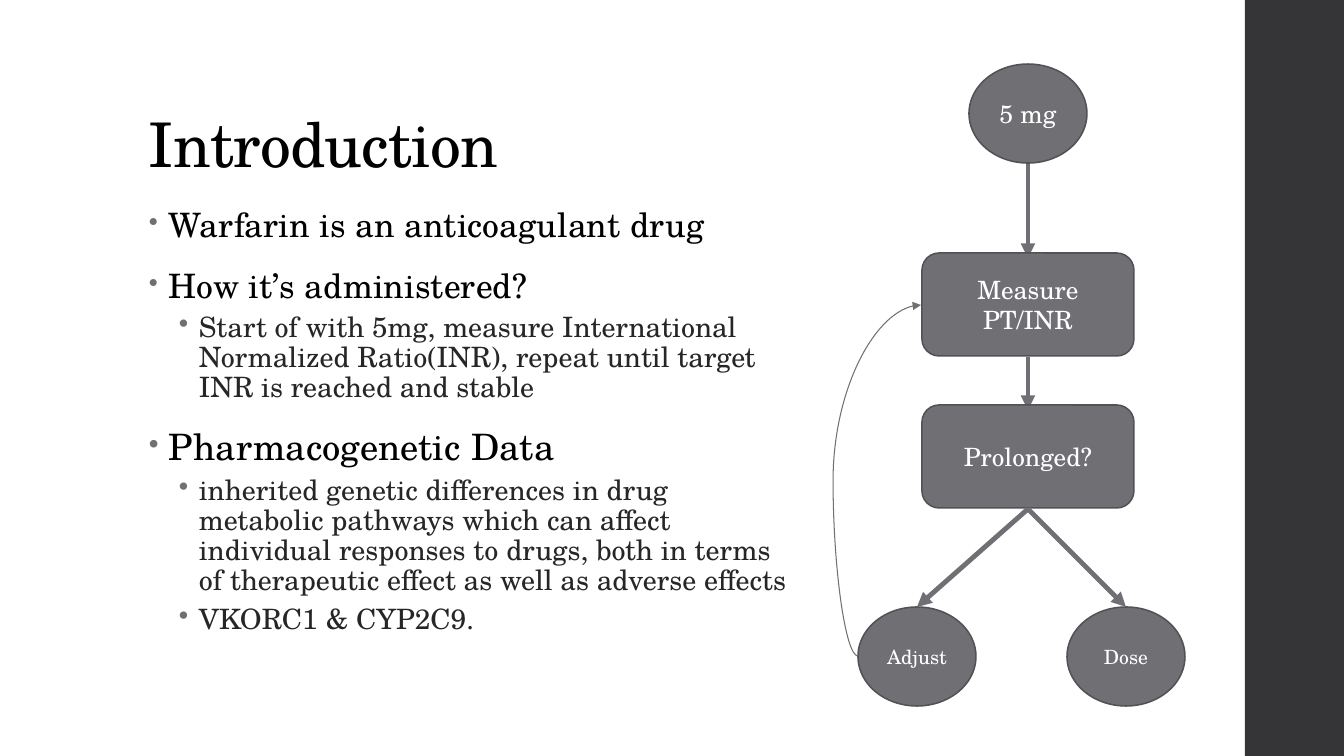
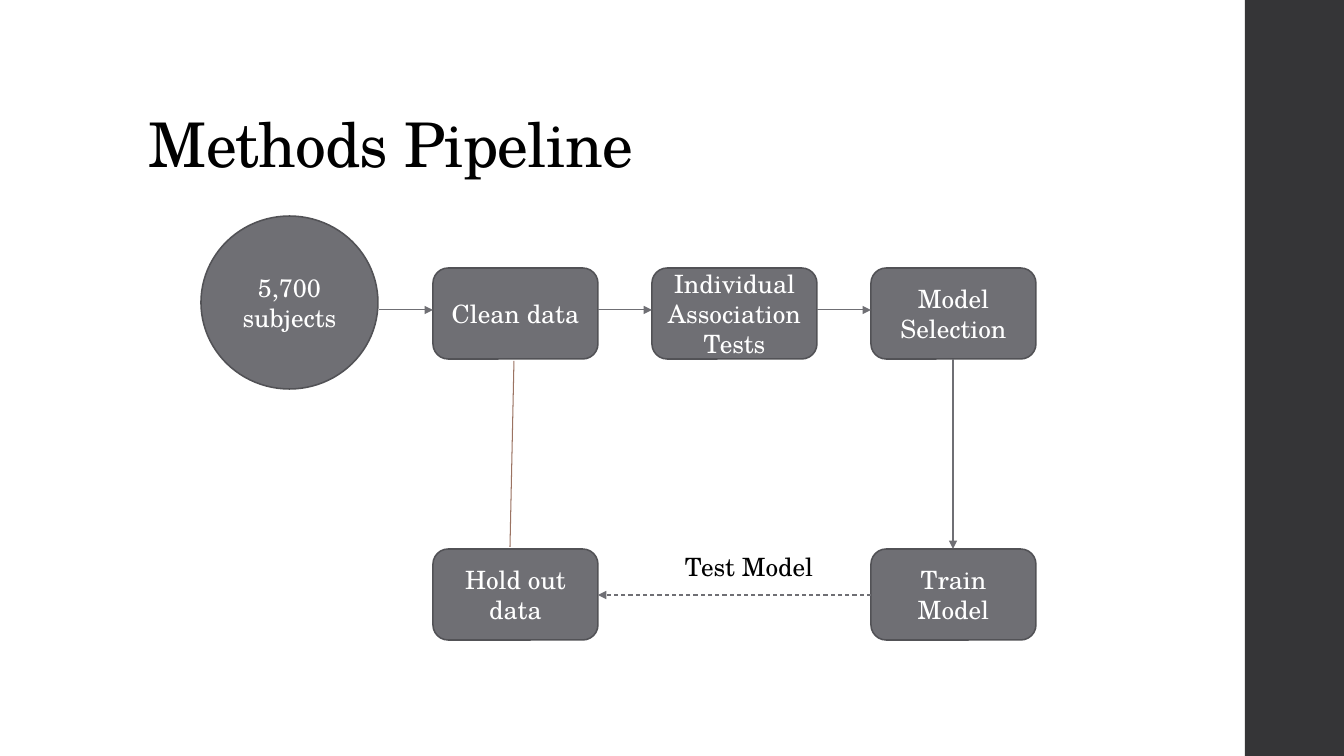
from lxml.etree import SubElement
from pptx import Presentation
from pptx.dml.color import RGBColor
from pptx.enum.dml import MSO_LINE
from pptx.enum.shapes import MSO_CONNECTOR as Link, MSO_SHAPE as Form
from pptx.enum.text import MSO_ANCHOR as Anchor, PP_ALIGN as Align
from pptx.oxml.ns import qn
from pptx.util import Pt

WIDTH, HEIGHT = 1344, 756
SCALE = 914400 / 100.8
FONT = "TeX Gyre Schola"
BLACK, WHITE, DARK = "000000", "FFFFFF", "262626"
GRAY, EDGE, BAND, BROWN = "6F6F74", "525256", "353537", "9B7362"

TOPIC = dict(indent=20, line=0.95, before=14, after=2, spacing=10,
             bullet_size=80)
DETAIL = dict(size=20, color=DARK, indent=50, line=0.9, before=3, after=3)
BODY = [
    ("Warfarin is an anticoagulant drug", dict(TOPIC, size=24)),
    ("How it’s administered?", dict(TOPIC, size=24)),
    ("Start of with 5mg, measure International Normalized Ratio(INR), "
     "repeat until target INR is reached and stable", DETAIL),
    ("Pharmacogenetic Data", dict(TOPIC, size=26)),
    ("inherited genetic differences in drug metabolic pathways which can "
     "affect individual responses to drugs, both in terms of therapeutic "
     "effect as well as adverse effects", DETAIL),
    ("VKORC1 & CYP2C9.", DETAIL),
]


def px(*lengths):
    """Turn pixel lengths into a list of EMU values."""
    return [round(length * SCALE) for length in lengths]


def rgb(value):
    """Turn a hex string into a colour."""
    return RGBColor.from_string(value)


def add_bullet(para, indent, size):
    """Give a paragraph a hanging bullet; size is a percentage."""
    props = para._p.get_or_add_pPr()
    left, hang = px(indent, 20)
    props.set("marL", str(left))
    props.set("indent", str(-hang))
    tint = SubElement(props, qn("a:buClr"))
    SubElement(tint, qn("a:srgbClr"), val=GRAY)
    SubElement(props, qn("a:buSzPct"), val=str(size * 1000))
    SubElement(props, qn("a:buChar"), char="•")


def write(para, text, size=18, color=BLACK, align=None, line=None,
          before=None, after=None, spacing=0, indent=None, bullet_size=100):
    """Write formatted text into a paragraph."""
    span = para.add_run()
    span.text = text
    span.font.size = Pt(size)
    span.font.name = FONT
    span.font.color.rgb = rgb(color)
    if spacing:
        span._r.get_or_add_rPr().set("spc", str(spacing))
    para.alignment = align
    para.line_spacing = line
    if before is not None:
        para.space_before, para.space_after = Pt(before), Pt(after)
    if indent is not None:
        add_bullet(para, indent, bullet_size)


def add_text(page, place, items, anchor=Anchor.TOP):
    """Add a wrapping text box with one paragraph per (text, format) item."""
    frame = page.shapes.add_textbox(*px(*place)).text_frame
    frame.word_wrap = True
    frame.vertical_anchor = anchor
    for index, (text, style) in enumerate(items):
        para = frame.add_paragraph() if index else frame.paragraphs[0]
        write(para, text, **style)


def add_box(page, form, place, fill, edge=None):
    """Add a flat preset shape, outlined when an edge colour is given."""
    box = page.shapes.add_shape(form, *px(*place))
    box.shadow.inherit = False
    box.fill.solid()
    box.fill.fore_color.rgb = rgb(fill)
    if edge:
        box.line.color.rgb = rgb(edge)
        box.line.width = Pt(1.1)
    else:
        box.line.fill.background()
    return box


def add_node(page, form, place, text, size=18):
    """Add a flowchart node with a centred label."""
    frame = add_box(page, form, place, GRAY, EDGE).text_frame
    frame.word_wrap = True
    frame.vertical_anchor = Anchor.MIDDLE
    write(frame.paragraphs[0], text, size=size, color=WHITE,
          align=Align.CENTER)


def add_link(page, start, end, width=0.75, color=GRAY, arrow=True,
             dash=None, bend=None):
    """Join two points; a bend makes the line a curve."""
    kind = Link.STRAIGHT if bend is None else Link.CURVE
    link = page.shapes.add_connector(kind, *px(*start, *end))
    link.line.color.rgb = rgb(color)
    link.line.width = Pt(width)
    link.line.dash_style = dash
    if arrow:
        SubElement(link.line._get_or_add_ln(), qn("a:tailEnd"),
                   type="triangle")
    props = link._element.spPr
    SubElement(props, qn("a:effectLst"))
    if bend is not None:
        guides = props.find(qn("a:prstGeom")).get_or_add_avLst()
        SubElement(guides, qn("a:gd"), name="adj1", fmla=f"val {bend}")


def add_page(deck, title):
    """Add a blank page with the side band and the title."""
    page = deck.slides.add_slide(deck.slide_layouts[6])
    add_box(page, Form.RECTANGLE, (1245, 0, WIDTH - 1245, HEIGHT), BAND)
    style = dict(size=44, line=0.9, spacing=-50)
    add_text(page, (139, 40, 1068, 146), [(title, style)], Anchor.BOTTOM)
    return page


def build_introduction(deck):
    """Build the dosing page with its decision flow."""
    page = add_page(deck, "Introduction")
    add_text(page, (139, 202, 669, 480), BODY)
    center, oval, card = 1028, (118, 99), (212, 103)
    for top, bottom in ((162, 258), (357, 410)):
        add_link(page, (center, top), (center, bottom), width=3.5)
    add_node(page, Form.OVAL, (center - 59, 64, *oval), "5 mg")
    for top, text in ((253, "Measure PT/INR"), (405, "Prolonged?")):
        add_node(page, Form.ROUNDED_RECTANGLE,
                 (center - 106, top, *card), text)
    for left, text in ((858, "Adjust"), (1067, "Dose")):
        add_node(page, Form.OVAL, (left, 607, *oval), text, size=14)
        add_link(page, (center, 509), (left + 59, 607), width=3.5)
    add_link(page, (858, 656), (921, 305), bend=-39500)


def build_pipeline(deck):
    """Build the methods page with its two rows of steps."""
    page = add_page(deck, "Methods Pipeline")
    width, height, upper, lower = 165, 91, 268, 549
    columns = [433 + 219 * index for index in range(3)]
    first, _, last = columns
    steps = [(left, upper, text) for left, text in zip(columns, (
        "Clean data", "Individual Association Tests", "Model Selection"))]
    steps += [(first, lower, "Hold out data"), (last, lower, "Train Model")]
    add_node(page, Form.OVAL, (201, 216, 177, 173), "5,700 subjects")
    for left, top, text in steps:
        add_node(page, Form.ROUNDED_RECTANGLE,
                 (left, top, width, height), text)
    for left in columns:
        add_link(page, (left - 54, 310), (left, 310))
    middle = last + width // 2
    add_link(page, (middle, upper + height), (middle, lower))
    add_link(page, (514, 361), (510, 547), color=BROWN, arrow=False)
    add_link(page, (last, 595), (first + width, 595), dash=MSO_LINE.DASH)
    add_text(page, (675, 546, 165, 40), [("Test Model", {})])


def main():
    """Build and save the deck."""
    deck = Presentation()
    deck.slide_width, deck.slide_height = px(WIDTH, HEIGHT)
    build_introduction(deck)
    build_pipeline(deck)
    deck.save("out.pptx")


main()
